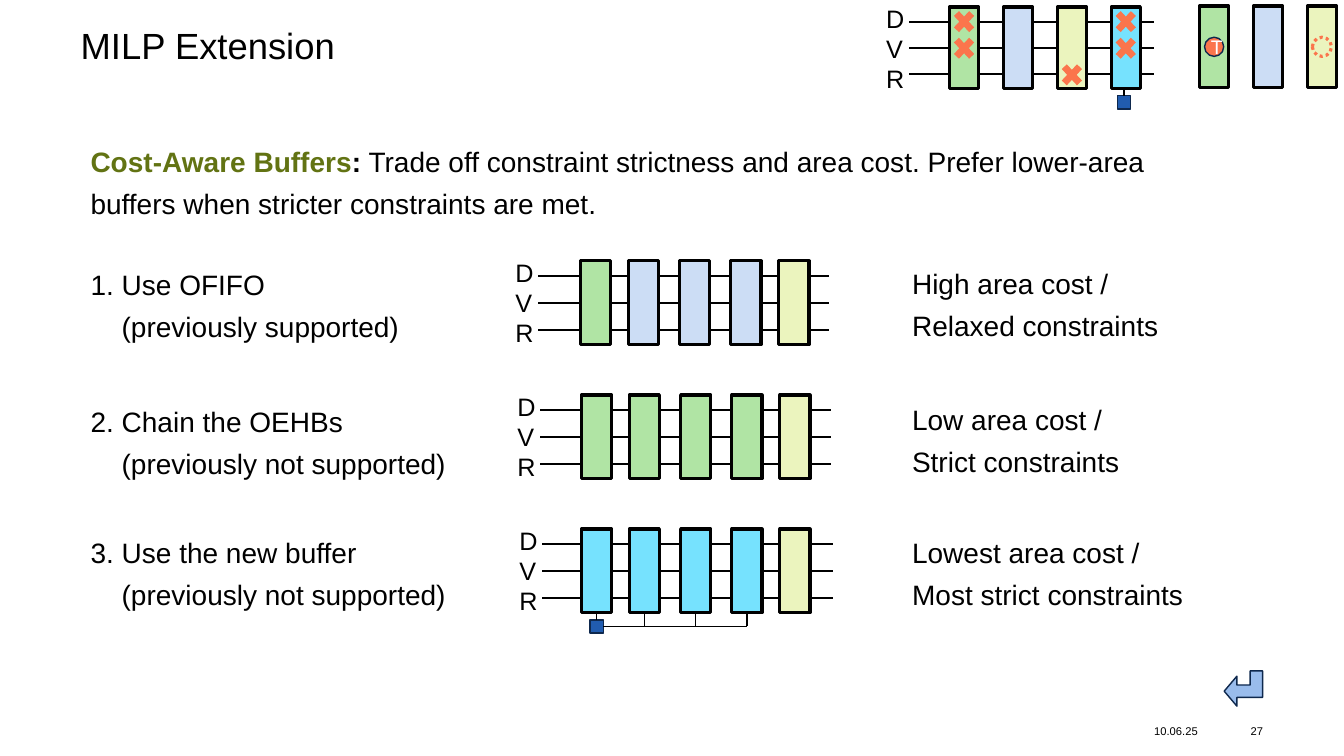
from dataclasses import dataclass

from pptx import Presentation
from pptx.dml.color import RGBColor
from pptx.enum.dml import MSO_LINE
from pptx.enum.shapes import MSO_CONNECTOR, MSO_SHAPE
from pptx.enum.text import MSO_ANCHOR, PP_ALIGN
from pptx.oxml.ns import qn
from pptx.util import Pt
from lxml import etree

RECT, OVAL, CROSS = MSO_SHAPE.RECTANGLE, MSO_SHAPE.OVAL, MSO_SHAPE.MATH_MULTIPLY
BENT_ARROW = MSO_SHAPE.BENT_UP_ARROW
STRAIGHT = MSO_CONNECTOR.STRAIGHT
DOTTED = MSO_LINE.ROUND_DOT
LEFT, CENTER, RIGHT = PP_ALIGN.LEFT, PP_ALIGN.CENTER, PP_ALIGN.RIGHT
TOP, MIDDLE = MSO_ANCHOR.TOP, MSO_ANCHOR.MIDDLE


@dataclass(frozen=True)
class Theme:
    font: str = "Arial"
    black: str = "000000"
    white: str = "FFFFFF"
    olive: str = "627313"
    green: str = "B0E4A4"
    pale_blue: str = "CCDDF5"
    yellow: str = "EBF4BE"
    cyan: str = "76E2FE"
    orange: str = "FB754C"
    blue: str = "215CAF"
    arrow: str = "99BCEC"
    navy: str = "0E284D"
    title: int = 26
    body: int = 20
    signal: int = 18
    token: int = 14
    footer: int = 8


THEME = Theme()
SIGNALS = ["D", "V", "R"]
STAGE_OFFSETS = (0, 34.1, 70.8, 107.3, 141.6)
BUFFER_SIZE = (21.6, 59.8)
TOP_PITCH, TOP_SIZE = 38.5, (20.9, 58.3)

# Option lines, cost lines, buffer colour, row top, cost top, option top, wire left, buffer left
OPTIONS = (
    (["1. Use OFIFO", "(previously supported)"], "High area cost / Relaxed constraints",
     THEME.pale_blue, 180, 180.7, 181.4, 384.5, 414.7, 224),
    (["2. Chain the OEHBs", "(previously not supported)"], "Low area cost / Strict constraints",
     THEME.green, 275.8, 277.9, 279.4, 385.9, 415.4, 163.4),
    (["3. Use the new buffer", "(previously not supported)"],
     "Lowest area cost / Most strict constraints",
     THEME.cyan, 371.5, 373, 373, 387.4, 415.4, 216.7),
)


def write(frame, paragraphs, *, size, color=THEME.black, align=LEFT, anchor=TOP,
          spacing=None, inset=None, hanging=0):
    """Fill a frame; a paragraph is a string or a list of (text, colour, bold)."""
    frame.word_wrap = True
    frame.vertical_anchor = anchor
    if inset is not None:
        frame.margin_left = frame.margin_right = Pt(inset)
        frame.margin_top = frame.margin_bottom = Pt(inset)
    for index, content in enumerate(paragraphs):
        paragraph = frame.add_paragraph() if index else frame.paragraphs[0]
        paragraph.alignment = align
        if spacing:
            paragraph.line_spacing = spacing
        if index and hanging:
            properties = paragraph._p.get_or_add_pPr()
            properties.set("marL", str(Pt(hanging)))
            properties.set("indent", "0")
        runs = [(content, color, False)] if isinstance(content, str) else content
        for text, run_color, bold in runs:
            run = paragraph.add_run()
            run.text = text
            run.font.name = THEME.font
            run.font.size = Pt(size)
            run.font.bold = bold
            run.font.color.rgb = RGBColor.from_string(run_color)


def add_text(slide, left, top, width, height, paragraphs, **style):
    box = slide.shapes.add_textbox(Pt(left), Pt(top), Pt(width), Pt(height))
    write(box.text_frame, paragraphs, **style)


def add_body(slide, left, top, width, paragraphs, **style):
    add_text(slide, left, top, width, 64.8, paragraphs,
             size=THEME.body, spacing=Pt(30), **style)


def add_block(slide, kind, left, top, width, height, fill=None, line=None, weight=1):
    block = slide.shapes.add_shape(kind, Pt(left), Pt(top), Pt(width), Pt(height))
    block.shadow.inherit = False
    if fill:
        block.fill.solid()
        block.fill.fore_color.rgb = RGBColor.from_string(fill)
    else:
        block.fill.background()
    if line:
        block.line.color.rgb = RGBColor.from_string(line)
        block.line.width = Pt(weight)
    else:
        block.line.fill.background()
    return block


def add_buffer(slide, left, top, size, fill):
    add_block(slide, RECT, left, top, *size, fill, THEME.black, 2.25)


def add_wire(slide, x1, y1, x2, y2, weight=1):
    wire = slide.shapes.add_connector(STRAIGHT, Pt(x1), Pt(y1), Pt(x2), Pt(y2))
    wire.line.color.rgb = RGBColor.from_string(THEME.black)
    wire.line.width = Pt(weight)
    etree.SubElement(wire._element.spPr, qn("a:effectLst"))


def add_channel(slide, left, top, length, pitch):
    """Draw the labelled D, V and R wires; top is the top of the label box."""
    for lane in range(len(SIGNALS)):
        y = top + 17.3 + lane * pitch
        add_wire(slide, left, y, left + length, y, 1.5)
    add_text(slide, left - 23.5, top, 36, 72.7, SIGNALS, size=THEME.signal)


def add_control(slide, center, top, drop):
    """Draw the small control square and its stem below a buffer."""
    add_block(slide, RECT, center - 4.7, top + drop, 9.4, 9.4, THEME.blue, THEME.navy)
    add_wire(slide, center, top, center, top + drop)


def add_control_bus(slide, buffer_left, top):
    centers = [buffer_left + offset + BUFFER_SIZE[0] / 2 for offset in STAGE_OFFSETS[:-1]]
    bus = top + 10
    add_control(slide, centers[0], top, 5.5)
    add_wire(slide, centers[0] + 4.7, bus, centers[-1], bus)
    for center in centers[1:]:
        add_wire(slide, center, top, center, bus)


def add_overview(slide):
    """Draw the two small diagrams in the top right corner."""
    add_channel(slide, 649.4, -1.4, 175, 18.4)
    stages = ((THEME.green, (0, 1)), (THEME.pale_blue, ()),
              (THEME.yellow, (2,)), (THEME.cyan, (0, 1)))
    for index, (fill, blocked_lanes) in enumerate(stages):
        left = 678.2 + index * TOP_PITCH
        add_buffer(slide, left, 5, TOP_SIZE, fill)
        for lane in blocked_lanes:
            add_block(slide, CROSS, left, 4.3 + lane * 19, 20.9, 22.3, THEME.orange)
    add_control(slide, 803, 62.6, 5.8)

    for index, (fill, _) in enumerate(stages[:3]):
        add_buffer(slide, 856.8 + index * TOP_PITCH, 4.3, TOP_SIZE, fill)
    token = add_block(slide, OVAL, 860.4, 26.6, 13.7, 13.7, THEME.orange, THEME.navy)
    write(token.text_frame, ["T"], size=THEME.token, color=THEME.white,
          align=CENTER, anchor=MIDDLE)
    empty_token = add_block(slide, OVAL, 937.4, 26.6, 13.7, 13.7, None, THEME.orange, 2.25)
    empty_token.line.dash_style = DOTTED


def add_option(slide, option, cost, fill, top, cost_top, option_top,
               wire_left, buffer_left, cost_width):
    add_body(slide, 57.6, option_top, 300, option, hanging=22.2)
    add_body(slide, 644.4, cost_top, cost_width, [cost])
    add_channel(slide, wire_left, top, 207.7, 19.1)
    fills = [THEME.green if fill == THEME.pale_blue else fill, fill, fill, fill, THEME.yellow]
    for offset, stage_fill in zip(STAGE_OFFSETS, fills):
        add_buffer(slide, buffer_left + offset, top + 6.4, BUFFER_SIZE, stage_fill)


def add_return_arrow(slide):
    arrow = add_block(slide, BENT_ARROW, 875.5, 478.1, 25.2, 27.4, THEME.arrow, THEME.navy)
    for index, value in enumerate((0.351, 0.425, 0.361)):
        arrow.adjustments[index] = value
    arrow.rotation = 270
    arrow._element.spPr.find(qn("a:xfrm")).set("flipH", "1")


def main():
    deck = Presentation()
    deck.slide_width, deck.slide_height = Pt(960), Pt(540)
    slide = deck.slides.add_slide(deck.slide_layouts[5])

    title = slide.shapes.title
    title.left, title.top, title.width, title.height = Pt(57.6), Pt(20.2), Pt(844.6), Pt(28.8)
    write(title.text_frame, ["MILP Extension"], size=THEME.title, spacing=0.9, inset=0)

    add_body(slide, 57.6, 93.6, 774.7, [[
        ("Cost-Aware Buffers", THEME.olive, True),
        (":", THEME.black, True),
        (" Trade off constraint strictness and area cost. Prefer lower-area "
         "buffers when stricter constraints are met.", THEME.black, False),
    ]])
    add_overview(slide)
    for option in OPTIONS:
        add_option(slide, *option)
    add_control_bus(slide, 415.4, 437.4)
    add_return_arrow(slide)

    footer = {"size": THEME.footer, "anchor": MIDDLE, "inset": 0}
    add_text(slide, 824.4, 513.4, 48.2, 17.3, ["10.06.25"], **footer)
    add_text(slide, 877, 513.4, 25.2, 17.3, ["27"], align=RIGHT, **footer)
    deck.save("out.pptx")


if __name__ == "__main__":
    main()
